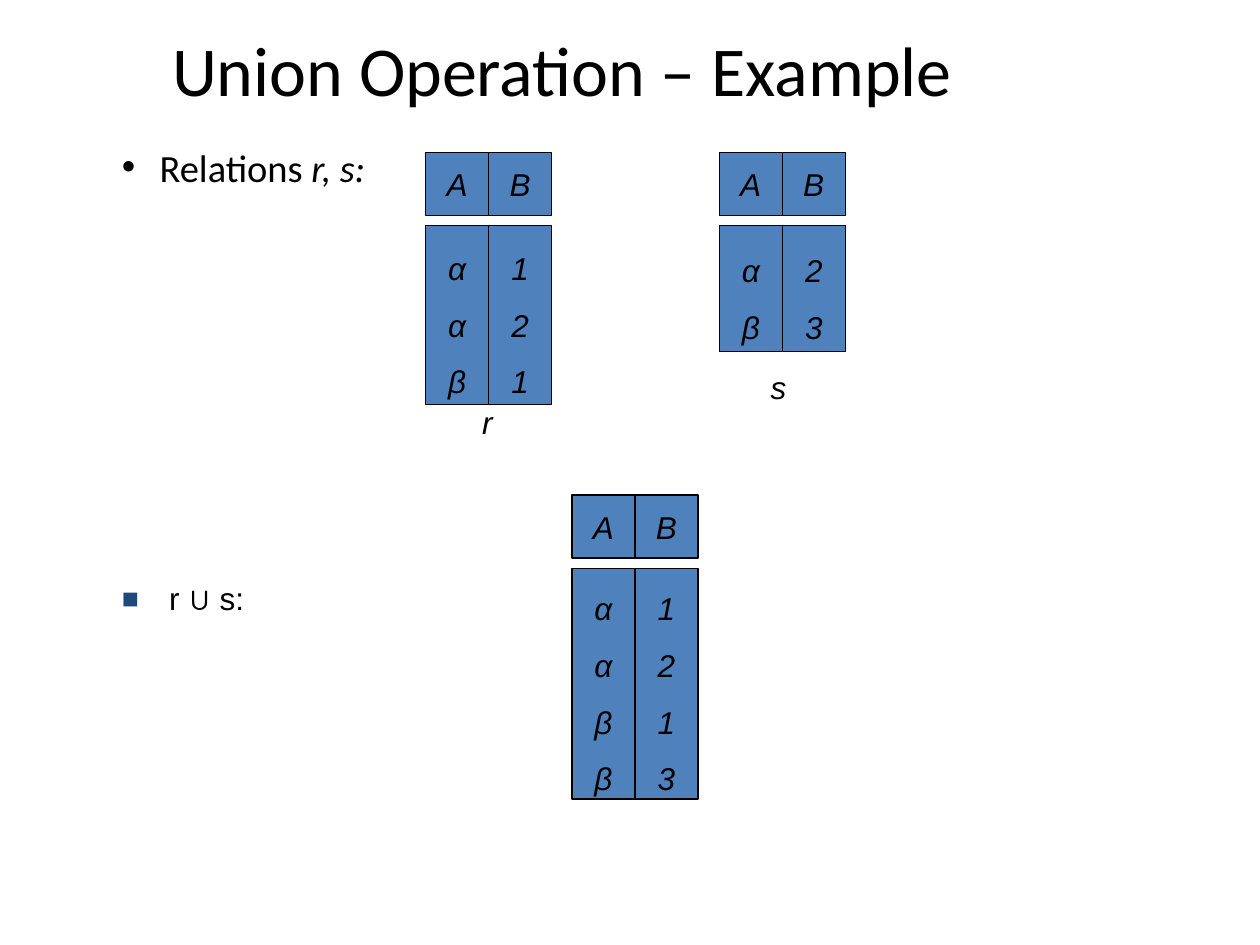
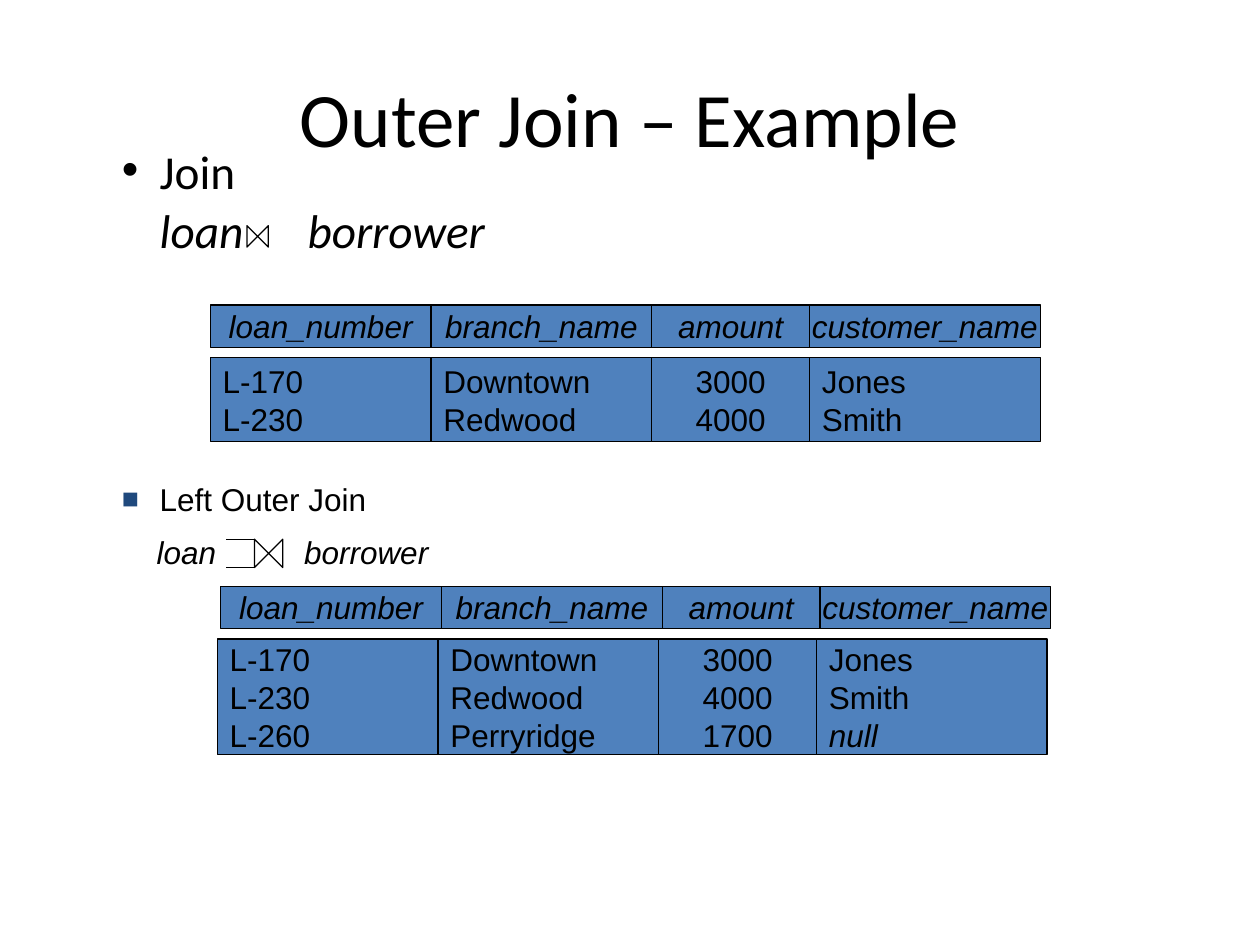
from lxml import etree
from pptx import Presentation
from pptx.dml.color import RGBColor
from pptx.enum.shapes import MSO_CONNECTOR, MSO_SHAPE
from pptx.enum.text import MSO_ANCHOR, MSO_AUTO_SIZE, PP_ALIGN
from pptx.oxml.ns import qn
from pptx.util import Cm, Pt

LEFT, MID = PP_ALIGN.LEFT, PP_ALIGN.CENTER
TOP, HALF = MSO_ANCHOR.TOP, MSO_ANCHOR.MIDDLE
FIXED = MSO_AUTO_SIZE.NONE
RECT, BOW = MSO_SHAPE.RECTANGLE, MSO_SHAPE.FLOWCHART_COLLATE
LINE = MSO_CONNECTOR.STRAIGHT
INK, BLUE, NAVY = "000000", "4F81BD", "1F497D"
DOT, BLOCK = ("•", INK, 100), ("■", NAVY, 90)
EDGE = 2.21
GAP = 0.21
WIDE = (4.45, 4.45, 3.18, 4.65)
SIDES = (LEFT, LEFT, MID, LEFT)
HEADS = ("loan_number", "branch_name", "amount", "customer_name")


def color(code):
    return RGBColor.from_string(code)


def place(*nums):
    return [Cm(num) for num in nums]


def apply(item, form):
    for key, val in form.items():
        setattr(item, key, val)


def node(top, tag, **keys):
    return etree.SubElement(top, qn("a:" + tag), keys)


def mark(para, sign, hang):
    props = para._p.get_or_add_pPr()
    props.set("marL", str(Cm(hang)))
    props.set("indent", str(-Cm(hang)))
    char, code, size = sign
    node(node(props, "buClr"), "srgbClr", val=code)
    node(props, "buSzPct", val=str(size * 1000))
    node(props, "buFont", typeface="Arial")
    node(props, "buChar", char=char)


def stops(para, spots):
    tabs = node(para._p.get_or_add_pPr(), "tabLst")
    for spot in spots:
        node(tabs, "tab", pos=str(Cm(spot)), algn="l")


def write(para, parts, size=18, name="Arial", **form):
    apply(para, form)
    for text, slant in parts:
        run = para.add_run()
        run.text = text
        apply(run.font, {"size": Pt(size), "name": name, "italic": slant})
        run.font.color.rgb = color(INK)


def frame(shape, anchor, wrap):
    text = shape.text_frame
    apply(text, {"auto_size": FIXED, "word_wrap": wrap, "vertical_anchor": anchor})
    return text


def title(slide, text, box, size):
    shape = slide.shapes.title
    apply(shape, dict(zip(("left", "top", "width", "height"), place(*box))))
    para = frame(shape, HALF, True).paragraphs[0]
    write(para, [(text, False)], size, "Calibri", alignment=MID)


def note(slide, box, anchor=TOP, wrap=True):
    return frame(slide.shapes.add_textbox(*place(*box)), anchor, wrap)


def point(slide, box, sign, hang, parts, **form):
    text = note(slide, box)
    mark(text.paragraphs[0], sign, hang)
    write(text.paragraphs[0], parts, **form)
    return text


def pair(text, spots, **form):
    para = text.add_paragraph()
    stops(para, spots)
    write(para, [("\tloan\tborrower", True)], **form)


def label(slide, box, text):
    para = note(slide, box, HALF, False).paragraphs[0]
    write(para, [(text, True)], alignment=MID)


def trim(shape):
    shape.line.color.rgb = color(INK)
    shape.line.width = Pt(0.75)


def cell(slide, box, rows, slant, side, space):
    shape = slide.shapes.add_shape(RECT, *place(*box))
    shape.shadow.inherit = False
    shape.fill.solid()
    shape.fill.fore_color.rgb = color(BLUE)
    trim(shape)
    text = frame(shape, HALF, False)
    for num, row in enumerate(rows):
        para = text.add_paragraph() if num else text.paragraphs[0]
        write(para, [(row, slant or row == "null")], alignment=side, line_spacing=space)


def grid(slide, x, y, wide, heads, cols, high, deep, sides, slant, space=1.0, shift=0):
    for width, head, col, side in zip(wide, heads, cols, sides):
        cell(slide, (x, y, width, high), [head], True, MID, 1.0)
        low = y + high + GAP
        cell(slide, (x + shift, low, width, deep), col, slant, side, space)
        x += width


def small(slide, x, y, cols, deep):
    grid(slide, x, y, (1.27, 1.27), "AB", cols, 1.27, deep, (MID, MID), True, 1.5)


def large(slide, x, y, cols, deep, shift=0):
    grid(slide, x, y, WIDE, HEADS, cols, 0.85, deep, SIDES, False, shift=shift)


def join(slide, x, y, size, outer=False):
    bow = slide.shapes.add_shape(BOW, *place(x, y, size, size))
    bow.shadow.inherit = False
    bow.fill.background()
    bow.rotation = 270
    trim(bow)
    for level in (y, y + size) if outer else ():
        bar = slide.shapes.add_connector(LINE, *place(x, level, x - size, level))
        trim(bar)
        node(bar._element.spPr, "effectLst")


def union(slide):
    title(slide, "Union Operation – Example", (1.27, 0.64, 20.12, 1.47), 40)
    point(slide, (EDGE, 3.03, 19.05, 0.94), DOT, 0.76,
          [("Relations ", False), ("r, s:", True)],
          size=22, name="Calibri", line_spacing=0.7)
    point(slide, (EDGE, 11.63, 19.53, 0.91), BLOCK, 0.95,
          [("r ∪ s:", False)], line_spacing=0.9)
    small(slide, 8.58, 3.07, ("ααβ", "121"), 3.61)
    small(slide, 14.5, 3.07, ("αβ", "23"), 2.54)
    label(slide, (9.47, 8, 0.71, 1.02), "r")
    label(slide, (15.29, 7.29, 0.81, 1.02), "s")
    small(slide, 11.53, 9.98, ("ααββ", "1213"), 4.65)


def outer(slide):
    title(slide, "Outer Join – Example", (1.27, 0.76, 22.86, 3.18), 44)
    form = {"size": 27, "name": "Calibri", "line_spacing": 0.7}
    text = point(slide, (EDGE, 3.05, 19.43, 2.34), DOT, 0.76, [("Join", False)], **form)
    pair(text, (0.76, 3.74), space_before=Pt(11), **form)
    join(slide, 4.98, 4.55, 0.43)
    names = ["L-170", "L-230", "L-260"]
    towns = ["Downtown", "Redwood", "Perryridge"]
    sums = ["3000", "4000", "1700"]
    people = ["Jones", "Smith", "null"]
    cols = (names, towns, sums, people)
    large(slide, 4.24, 6.15, [col[:2] for col in cols], 1.69)
    large(slide, 4.45, 11.82, cols, 2.33, -0.07)
    text = point(slide, (EDGE, 9.55, 11.76, 2.06), BLOCK, 0.76,
                 [("Left Outer Join", False)])
    pair(text, (0.7, 3.67), space_before=Pt(9))
    join(slide, 5.13, 10.87, 0.57, True)


def main():
    deck = Presentation()
    apply(deck, {"slide_width": Cm(25.4), "slide_height": Cm(19.05)})
    for build in (union, outer):
        build(deck.slides.add_slide(deck.slide_layouts[5]))
    deck.save("out.pptx")


if __name__ == "__main__":
    main()
